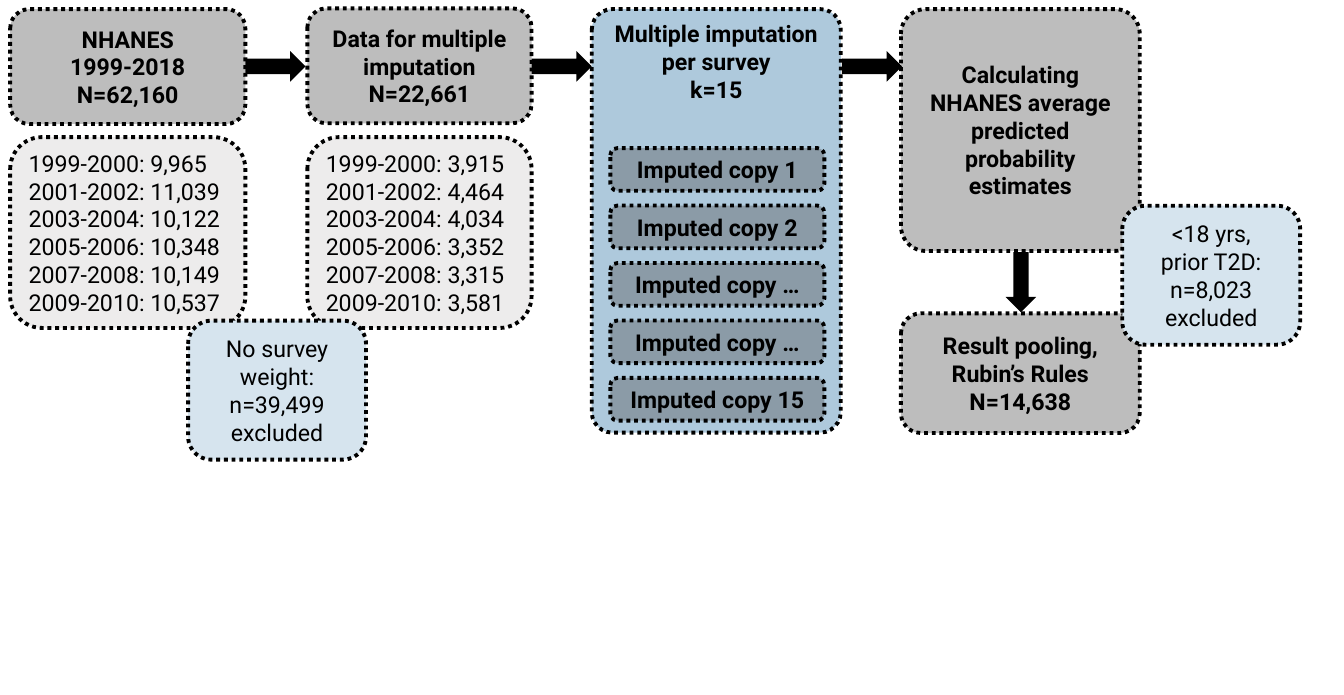
from dataclasses import dataclass

from lxml import etree
from pptx import Presentation
from pptx.dml.color import RGBColor
from pptx.enum.dml import MSO_LINE
from pptx.enum.shapes import MSO_SHAPE
from pptx.enum.text import MSO_ANCHOR, PP_ALIGN
from pptx.oxml.ns import qn
from pptx.util import Cm, Pt

ROUNDED = MSO_SHAPE.ROUNDED_RECTANGLE
RIGHT_ARROW = MSO_SHAPE.RIGHT_ARROW
DOWN_ARROW = MSO_SHAPE.DOWN_ARROW
DOTTED = MSO_LINE.ROUND_DOT
LEFT, CENTER = PP_ALIGN.LEFT, PP_ALIGN.CENTER
TOP, MIDDLE = MSO_ANCHOR.TOP, MSO_ANCHOR.MIDDLE


@dataclass(frozen=True)
class Theme:
    font: str = "Roboto"
    text_size: int = 18
    outline_width: int = 3
    ink: str = "000000"
    step: str = "525252"
    counts: str = "D0CECE"
    panel: str = "AEC9DC"
    exclusion: str = "D6E4EE"
    opacity: int = 38


THEME = Theme()

FIRST_COLUMN = {"left": 0.28, "width": 6.45}
SECOND_COLUMN = {"left": 8.43, "width": 6.15}
RESULT_COLUMN = {"left": 24.71, "width": 6.55}
COUNTS_ROW = {"top": 3.76, "height": 5.23}

SURVEYS = ["1999-2000", "2001-2002", "2003-2004",
           "2005-2006", "2007-2008", "2009-2010"]
ALL_COUNTS = ["9,965", "11,039", "10,122", "10,348", "10,149", "10,537"]
IMPUTATION_COUNTS = ["3,915", "4,464", "4,034", "3,352", "3,315", "3,581"]

COPIES = ["1", "2", "…", "…", "15"]
COPY_TOP, COPY_PITCH = 4.06, 1.575

ARROW_LENGTH, ARROW_THICKNESS = 1.65, 0.84


def add_filled_shape(slide, kind, left, top, width, height, color):
    shape = slide.shapes.add_shape(kind, Cm(left), Cm(top), Cm(width), Cm(height))
    shape.shadow.inherit = False
    shape.fill.solid()
    shape.fill.fore_color.rgb = RGBColor.from_string(color)
    return shape


def set_opacity(shape, percent):
    color = shape.fill._xPr.find(qn("a:solidFill"))[0]
    etree.SubElement(color, qn("a:alpha")).set("val", str(percent * 1000))


def add_box(slide, text, left, top, width, height, color, opacity=100,
            bold=False, align=CENTER, anchor=MIDDLE, corner=None):
    """Add a dotted rounded box; in text, \\n starts a paragraph and \\v a line."""
    box = add_filled_shape(slide, ROUNDED, left, top, width, height, color)
    if opacity < 100:
        set_opacity(box, opacity)
    if corner is not None:
        box.adjustments[0] = corner
    box.line.color.rgb = RGBColor.from_string(THEME.ink)
    box.line.width = Pt(THEME.outline_width)
    box.line.dash_style = DOTTED

    frame = box.text_frame
    frame.word_wrap = True
    frame.vertical_anchor = anchor
    frame.text = text
    font_format = {"name": THEME.font, "size": Pt(THEME.text_size), "bold": bold}
    for paragraph in frame.paragraphs:
        paragraph.alignment = align
        for run in paragraph.runs:
            for name, value in font_format.items():
                setattr(run.font, name, value)
            run.font.color.rgb = RGBColor.from_string(THEME.ink)


def add_step(slide, text, **layout):
    add_box(slide, text, color=THEME.step, opacity=THEME.opacity, bold=True, **layout)


def add_survey_counts(slide, counts, column):
    text = "\n".join(f"{survey}: {count}" for survey, count in zip(SURVEYS, counts))
    add_box(slide, text, color=THEME.counts, opacity=THEME.opacity, align=LEFT,
            **column, **COUNTS_ROW)


def add_exclusion(slide, text, left, top):
    add_box(slide, text, left, top, 4.88, 3.81, THEME.exclusion)


def add_imputation_panel(slide):
    add_box(slide, "Multiple imputation per survey\nk=15", 16.23, 0.25, 6.83, 11.61,
            THEME.panel, bold=True, anchor=TOP, corner=0.083)
    for index, label in enumerate(COPIES):
        add_step(slide, f"Imputed copy {label}", left=16.74,
                 top=COPY_TOP + index * COPY_PITCH, width=5.87, height=1.17)


def add_arrow(slide, kind, left, top):
    size = (ARROW_LENGTH, ARROW_THICKNESS)
    width, height = size if kind == RIGHT_ARROW else size[::-1]
    arrow = add_filled_shape(slide, kind, left, top, width, height, THEME.ink)
    arrow.line.fill.background()


def main():
    presentation = Presentation()
    presentation.slide_width, presentation.slide_height = Cm(36.86), Cm(19.05)
    slide = presentation.slides.add_slide(presentation.slide_layouts[6])

    add_step(slide, "NHANES\n1999-2018\nN=62,160", top=0.25, height=3.15,
             **FIRST_COLUMN)
    add_step(slide, "Data for multiple imputation\nN=22,661", top=0.23, height=3.15,
             **SECOND_COLUMN)
    add_survey_counts(slide, ALL_COUNTS, FIRST_COLUMN)
    add_survey_counts(slide, IMPUTATION_COUNTS, SECOND_COLUMN)
    add_exclusion(slide, "No survey weight:\nn=39,499\nexcluded", 5.16, 8.79)

    add_imputation_panel(slide)

    add_step(slide, "Calculating\nNHANES average predicted\vprobability estimates",
             top=0.25, height=6.63, corner=0.104, **RESULT_COLUMN)
    add_step(slide, "Result pooling,\vRubin’s Rules\nN=14,638",
             top=8.59, height=3.28, **RESULT_COLUMN)

    for left in (6.73, 14.58, 23.09):
        add_arrow(slide, RIGHT_ARROW, left, 1.4)
    add_arrow(slide, DOWN_ARROW, 27.58, 6.91)
    add_exclusion(slide, "<18 yrs,\nprior T2D:\nn=8,023\nexcluded", 30.78, 5.64)

    presentation.save("out.pptx")


if __name__ == "__main__":
    main()
